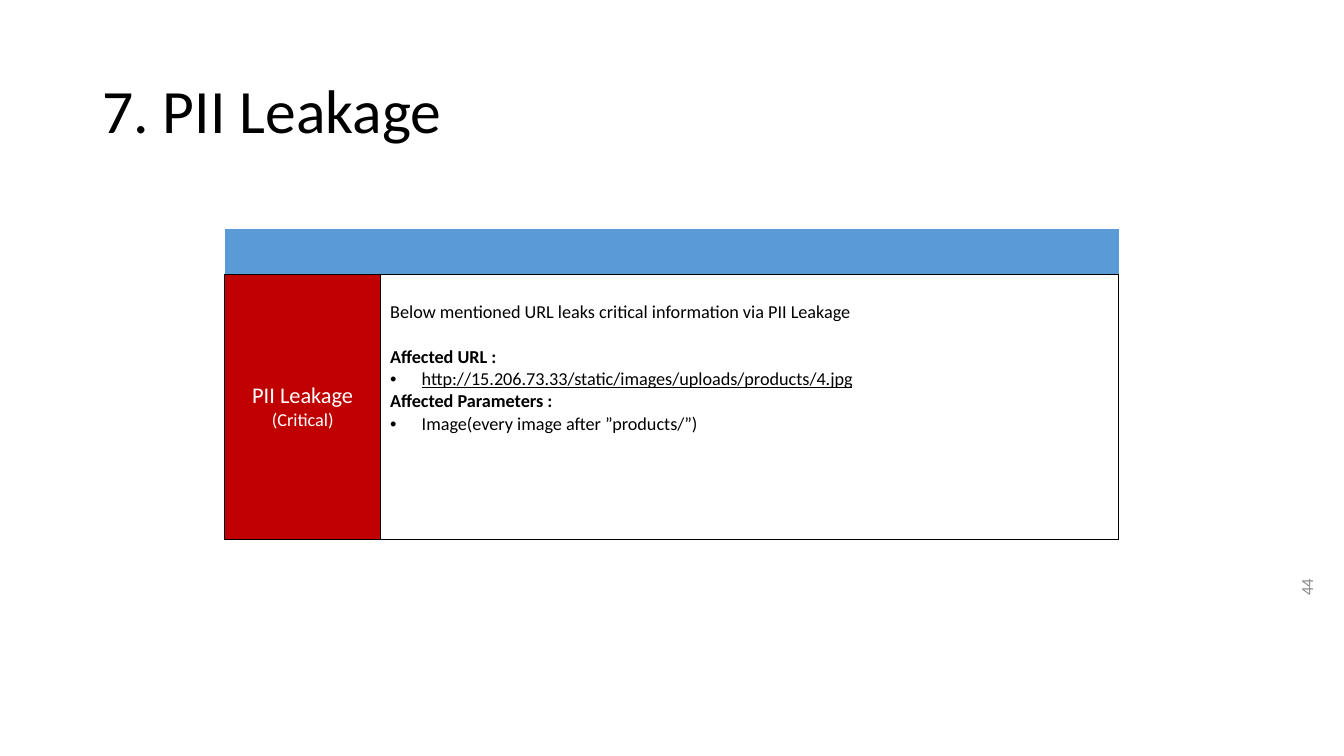
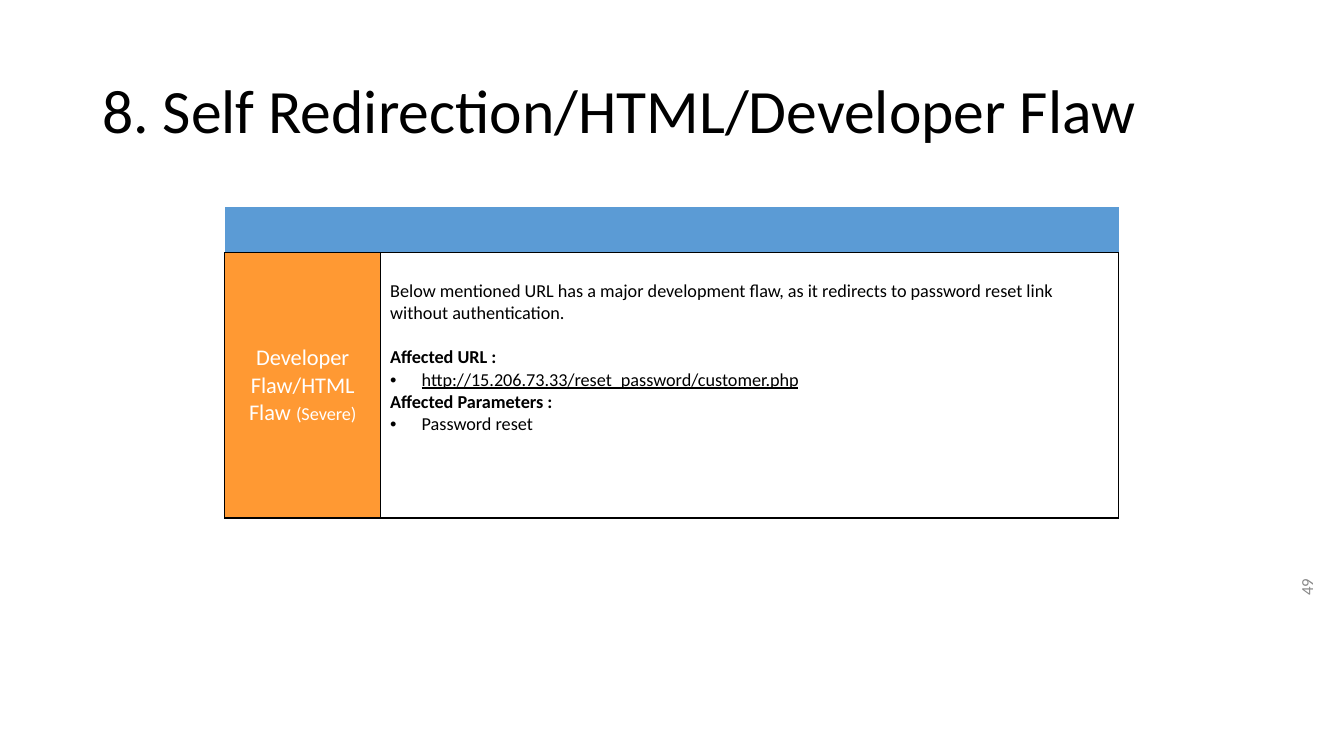
from lxml.etree import SubElement
from pptx import Presentation
from pptx.dml.color import RGBColor
from pptx.enum.text import MSO_ANCHOR, PP_ALIGN
from pptx.oxml.ns import qn
from pptx.util import Pt

COLORS = {
    "black": "000000",
    "white": "FFFFFF",
    "number": "888888",
    "header": "5B9BD5",
    "critical": "C00000",
    "severe": "FF9933",
}
FONT = "Calibri"
BODY_SIZE = 13
LINE_GAP = 16
BULLET_INDENT = 22.5


def rgb(name):
    return RGBColor.from_string(COLORS[name])


def add_span(para, text, size=BODY_SIZE, color="black", bold=False, underline=False):
    span = para.add_run()
    span.text = text
    span.font.name = FONT
    span.font.size = Pt(size)
    span.font.color.rgb = rgb(color)
    span.font.bold = bold
    span.font.underline = underline


def next_paragraph(frame):
    """Return the unused first paragraph, or a new one after it."""
    first = frame.paragraphs[0]
    return frame.add_paragraph() if first.runs else first


def add_bullet(para):
    properties = para._p.get_or_add_pPr()
    properties.set("marL", str(Pt(BULLET_INDENT)))
    properties.set("indent", str(-Pt(BULLET_INDENT)))
    color = SubElement(properties, qn("a:buClr"))
    SubElement(color, qn("a:srgbClr"), val=COLORS["black"])
    SubElement(properties, qn("a:buFont"), typeface="Arial")
    SubElement(properties, qn("a:buChar"), char="•")


def outline_cell(cell):
    properties = cell._tc.get_or_add_tcPr()
    for side in ("lnL", "lnR", "lnT", "lnB"):
        line = SubElement(properties, qn(f"a:{side}"), w=str(Pt(1)))
        fill = SubElement(line, qn("a:solidFill"))
        SubElement(fill, qn("a:srgbClr"), val=COLORS["black"])


def fill_cell(cell, color):
    cell.fill.solid()
    cell.fill.fore_color.rgb = rgb(color)


class FindingDeck:
    """Holds the deck and the slide being built."""

    NO_STYLE = "{2D5ABB26-0587-4C30-8999-92F81FD0307C}"
    TABLE_LEFT = 160.5
    COLUMNS = (111.5, 527)
    ROWS = (32.5, 189.5)

    def __init__(self):
        self.deck = Presentation()
        self.deck.slide_width = Pt(960)
        self.deck.slide_height = Pt(540)
        self.page = None

    def add_page(self, title, number):
        self.page = self.deck.slides.add_slide(self.deck.slide_layouts[6])
        self.add_text(number, 881.5, 440, 103.5, 36, size=12, color="number",
                      align=PP_ALIGN.RIGHT, rotation=270)
        self.add_text(title, 66, 28.75, 828, 104.5, size=44, spacing=0.9)

    def add_text(self, text, left, top, width, height, align=PP_ALIGN.LEFT,
                 spacing=1.0, rotation=0, **style):
        box = self.page.shapes.add_textbox(Pt(left), Pt(top), Pt(width), Pt(height))
        box.rotation = rotation
        frame = box.text_frame
        frame.word_wrap = True
        frame.vertical_anchor = MSO_ANCHOR.MIDDLE
        para = frame.paragraphs[0]
        para.alignment = align
        para.line_spacing = spacing
        add_span(para, text, **style)

    def add_finding(self, top, color, label, summary, url, parameter):
        """Add the table with a severity label and the finding's details."""
        table = self.page.shapes.add_table(
            2, 2, Pt(self.TABLE_LEFT), Pt(top),
            Pt(sum(self.COLUMNS)), Pt(sum(self.ROWS))).table
        table._tbl.tblPr.find(qn("a:tableStyleId")).text = self.NO_STYLE
        table.horz_banding = False
        for column, width in zip(table.columns, self.COLUMNS):
            column.width = Pt(width)
        for row, height in zip(table.rows, self.ROWS):
            row.height = Pt(height)
        for cell in table.rows[0].cells:
            fill_cell(cell, "header")

        label_cell, detail_cell = table.rows[1].cells
        for cell, fill in ((label_cell, color), (detail_cell, "white")):
            cell.margin_left = cell.margin_right = Pt(6.75)
            outline_cell(cell)
            fill_cell(cell, fill)
        self.write_label(label_cell, label)
        self.write_details(detail_cell, summary, url, parameter)

    def write_label(self, cell, label):
        cell.vertical_anchor = MSO_ANCHOR.MIDDLE
        for spans in label:
            para = next_paragraph(cell.text_frame)
            para.alignment = PP_ALIGN.CENTER
            for text, size in spans:
                add_span(para, text, size=size, color="white")

    def write_details(self, cell, summary, url, parameter):
        cell.margin_top = Pt(3.5 + LINE_GAP)
        frame = cell.text_frame
        add_span(next_paragraph(frame), summary)
        sections = (("Affected URL :", url, True, LINE_GAP),
                    ("Affected Parameters :", parameter, False, 0))
        for heading, item, underline, gap in sections:
            para = next_paragraph(frame)
            para.space_before = Pt(gap)
            add_span(para, heading, bold=True)
            para = next_paragraph(frame)
            add_bullet(para)
            add_span(para, item, underline=underline)

    def save(self):
        self.deck.save("out.pptx")


def main():
    report = FindingDeck()

    report.add_page("7. PII Leakage", "44")
    report.add_finding(
        163.5, "critical",
        label=[[("PII Leakage", 16)], [("(Critical)", BODY_SIZE)]],
        summary="Below mentioned URL leaks critical information via PII Leakage",
        url="http://15.206.73.33/static/images/uploads/products/4.jpg",
        parameter="Image(every image after ”products/”)")

    report.add_page("8. Self Redirection/HTML/Developer Flaw", "49")
    report.add_finding(
        148, "severe",
        label=[[("Developer Flaw/HTML Flaw ", 16), ("(Severe)", BODY_SIZE)]],
        summary="Below mentioned URL has a major development flaw, as it redirects "
                "to password reset link without authentication.",
        url="http://15.206.73.33/reset_password/customer.php",
        parameter="Password reset")

    report.save()


if __name__ == "__main__":
    main()
